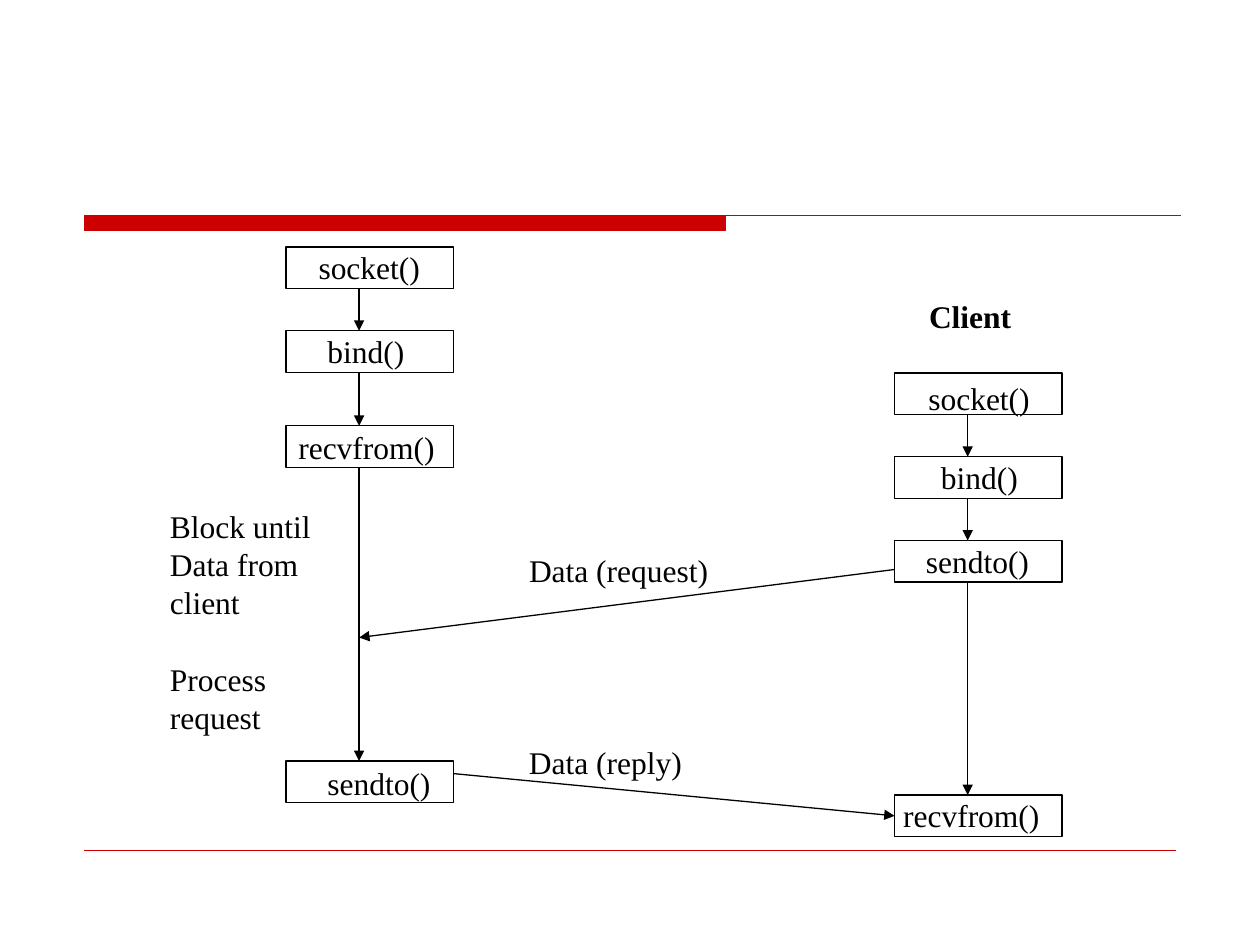
from dataclasses import dataclass

from lxml.etree import SubElement
from pptx import Presentation
from pptx.dml.color import RGBColor
from pptx.enum.shapes import MSO_CONNECTOR, MSO_SHAPE
from pptx.enum.text import MSO_AUTO_SIZE
from pptx.oxml.ns import qn
from pptx.util import Inches, Length, Pt

COLORS = {"ink": "000000", "accent": "CC0000"}
FONT = {"name": "Times New Roman", "size": Pt(18)}
FRAME = {"word_wrap": False, "auto_size": MSO_AUTO_SIZE.SHAPE_TO_FIT_TEXT}

# The slide is a grid of 100 columns by 75 rows, each cell a tenth of an inch.
COLUMNS, ROWS = 100, 75
CELL = Inches(0.1)
BOX_WIDTH, BOX_HEIGHT = 13.3, 3.3
SERVER_LEFT, CLIENT_LEFT = 22.7, 71
ARROW_INSET = 5.8
SERVER_AXIS, CLIENT_AXIS = SERVER_LEFT + ARROW_INSET, CLIENT_LEFT + ARROW_INSET
NOTE_LEFT, MESSAGE_LEFT = 12.5, 41
BAND_LEFT, BAND_TOP, BAND_END, BAND_BOTTOM, RULE_END = 6.7, 17.1, 57.6, 18.3, 93.7


@dataclass(frozen=True)
class Label:
    text: str
    left: float
    top: float
    width: float
    bold: bool = False


@dataclass(frozen=True)
class Call:
    """A boxed function call; the label's place is its own."""
    left: float
    top: float
    label: Label


@dataclass(frozen=True)
class Line:
    start: tuple[float, float]
    end: tuple[float, float]
    color: str = "ink"
    weight: float = 0.75
    arrow: bool = True


SERVER_CALLS = [
    Call(SERVER_LEFT, 19.6, Label("socket()", 24.3, 19.2, 10.3)),
    Call(SERVER_LEFT, 26.25, Label("bind()", 25, 25.85, 8.3)),
    Call(SERVER_LEFT, 33.8, Label("recvfrom()", 22.7, 33.5, 13)),
    Call(SERVER_LEFT, 60.4, Label("sendto()", 25, 60.15, 10.4)),
]
CLIENT_CALLS = [
    Call(CLIENT_LEFT, 29.6, Label("socket()", 72.7, 29.6, 10.3)),
    Call(CLIENT_LEFT, 36.25, Label("bind()", 73.7, 35.85, 8.3)),
    Call(CLIENT_LEFT, 42.9, Label("sendto()", 72.5, 42.5, 10.4)),
    Call(CLIENT_LEFT, 63.1, Label("recvfrom()", 70.7, 62.7, 13)),
]
LABELS = [
    Label("Client", 72.75, 23.1, 8.7, bold=True),
    Label("Block until\nData from\nclient", NOTE_LEFT, 39.75, 13.4),
    Label("Process\nrequest", NOTE_LEFT, 51.9, 9.9),
    Label("Data (request)", MESSAGE_LEFT, 43.25, 16.5),
    Label("Data (reply)", MESSAGE_LEFT, 58.5, 14.4),
]
REQUEST = Line((CLIENT_LEFT, 45.2), (SERVER_AXIS, 50.6))
REPLY = Line((SERVER_LEFT + BOX_WIDTH, 61.4), (CLIENT_LEFT, 64.75))
FOOTER_RULE = Line((BAND_LEFT, 67.5), (93.3, 67.5), "accent", 0.25, arrow=False)


def cells(count: float) -> Length:
    return Length(round(count * CELL))


def point(column: float, row: float) -> tuple[Length, Length]:
    return cells(column), cells(row)


def color(name: str) -> RGBColor:
    return RGBColor.from_string(COLORS[name])


def draw_header_band(slide) -> None:
    """Thick bar with a thin rule running on from its top edge."""
    top_left = point(BAND_LEFT, BAND_TOP)
    builder = slide.shapes.build_freeform(*top_left)
    builder.add_line_segments([
        point(BAND_END, BAND_TOP), point(BAND_END, BAND_BOTTOM),
        point(BAND_LEFT, BAND_BOTTOM)])
    builder.move_to(*top_left)
    builder.add_line_segments([point(RULE_END, BAND_TOP)], close=False)
    band = builder.convert_to_shape()
    band.shadow.inherit = False
    band.fill.solid()
    band.fill.fore_color.rgb = color("accent")
    band.line.color.rgb = color("accent")
    band.line.width = Pt(0.75)


def draw_label(slide, label: Label) -> None:
    lines = label.text.split("\n")
    box = slide.shapes.add_textbox(
        cells(label.left), cells(label.top), cells(label.width), cells(1 + 3 * len(lines)))
    frame = box.text_frame
    for name, value in FRAME.items():
        setattr(frame, name, value)
    frame.text = label.text
    for paragraph in frame.paragraphs:
        for name, value in (FONT | {"bold": label.bold}).items():
            setattr(paragraph.font, name, value)
        paragraph.font.color.rgb = color("ink")


def draw_call(slide, call: Call):
    box = slide.shapes.add_shape(
        MSO_SHAPE.RECTANGLE, cells(call.left), cells(call.top),
        cells(BOX_WIDTH), cells(BOX_HEIGHT))
    box.shadow.inherit = False
    box.fill.background()
    box.line.color.rgb = color("ink")
    box.line.width = Pt(0.75)
    draw_label(slide, call.label)
    return box


def draw_line(slide, line: Line):
    connector = slide.shapes.add_connector(
        MSO_CONNECTOR.STRAIGHT, *point(*line.start), *point(*line.end))
    connector.line.color.rgb = color(line.color)
    connector.line.width = Pt(line.weight)
    if line.arrow:
        SubElement(connector.line._get_or_add_ln(), qn("a:tailEnd"), type="triangle")
    SubElement(connector._element.spPr, qn("a:effectLst"))
    return connector


def draw_sequence(slide, calls: list[Call], axis: float) -> list:
    """Draw the calls of one side and the arrows from each to the next."""
    boxes = [draw_call(slide, call) for call in calls]
    for upper, lower in zip(calls, calls[1:]):
        draw_line(slide, Line((axis, upper.top + BOX_HEIGHT), (axis, lower.top)))
    return boxes


def main() -> None:
    presentation = Presentation()
    presentation.slide_width = cells(COLUMNS)
    presentation.slide_height = cells(ROWS)
    slide = presentation.slides.add_slide(presentation.slide_layouts[6])

    draw_header_band(slide)
    draw_line(slide, FOOTER_RULE)
    draw_sequence(slide, SERVER_CALLS, SERVER_AXIS)
    client_boxes = draw_sequence(slide, CLIENT_CALLS, CLIENT_AXIS)
    draw_line(slide, REQUEST)
    draw_line(slide, REPLY).end_connect(client_boxes[-1], 1)
    for label in LABELS:
        draw_label(slide, label)

    presentation.save("out.pptx")


if __name__ == "__main__":
    main()
